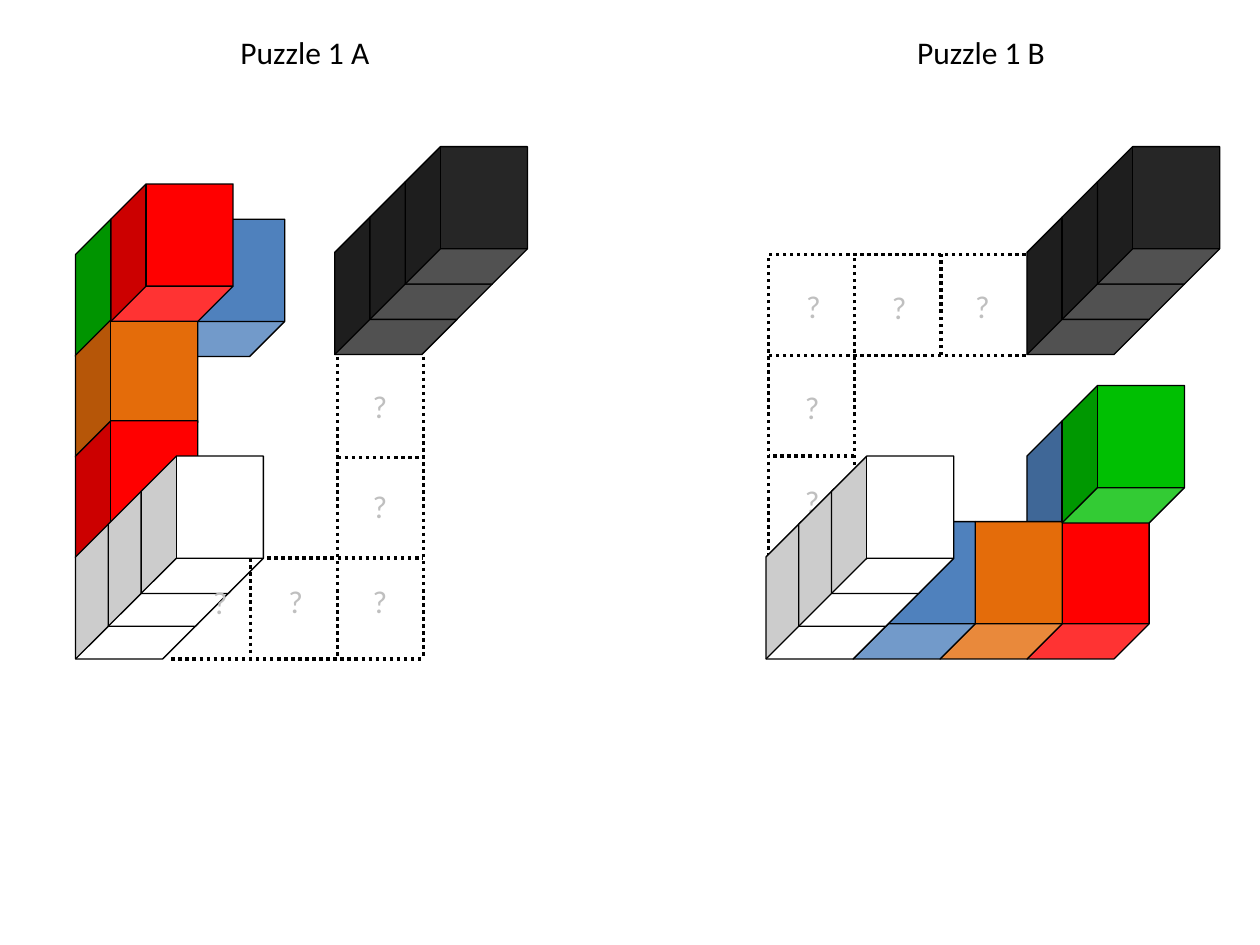
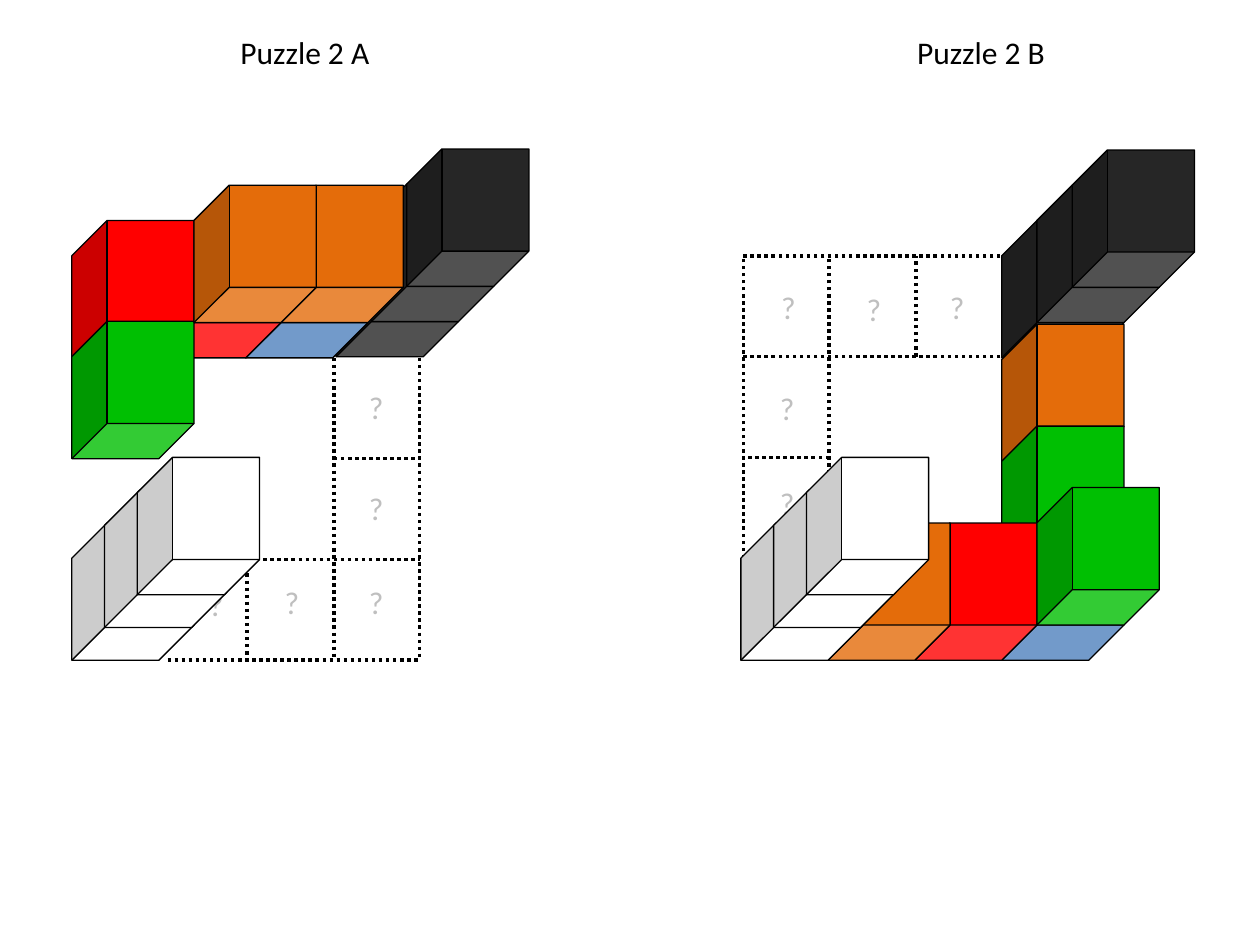
from lxml.etree import SubElement
from pptx import Presentation
from pptx.dml.color import RGBColor
from pptx.enum.dml import MSO_LINE
from pptx.enum.shapes import MSO_CONNECTOR, MSO_SHAPE
from pptx.enum.text import MSO_AUTO_SIZE
from pptx.oxml.ns import qn
from pptx.util import Inches, Pt

COLORS = {
    "green": "00BA00", "lime": "00BF02", "blue": "4F81BD",
    "orange": "E46C0A", "red": "FF0000", "white": "FFFFFF",
    "dark": "262626", "ink": "000000", "mark": "BFBFBF",
}
FONT = "Calibri"
COL, ROW, DEEP = 0.69, 0.8, 0.28
WIDE, HIGH = 0.97, 1.09
RODS = {"white": 0.26, "dark": 0.28}

GRIDS = {
    "A": {
        "at": (0.76, 1.09),
        "lines": [(0.63, 1.6, 0.63, 2.4), (1.32, 0, 1.32, 2.4),
                  (0.76, 1.6, 2, 1.6), (2, 0, 2, 2.4),
                  (0, 2.4, 2, 2.4), (1.32, 0.8, 2, 0.8)],
        "marks": [(0.23, 1.75), (1.5, 0.19), (1.5, 0.99),
                  (1.5, 1.74), (0.83, 1.74)],
    },
    "B": {
        "at": (0.02, 0.28),
        "lines": [(1.37, 0.8, 1.37, 0), (0.68, 2.4, 0.68, 0),
                  (2.04, 0.8, 0, 0.8), (0, 2.4, 0, 0),
                  (2.04, 0, 0, 0), (0.68, 1.6, 0, 1.6)],
        "marks": [(0.2, 0.21), (0.19, 1.01), (0.19, 1.76),
                  (1.54, 0.21), (0.88, 0.22)],
    },
}
TITLES = {"A": 1.81, "B": 7.18}

PUZZLES = [
    {
        "A": (0.6, 1.74, [
            ("green", 0, 0, 0), ("blue", 1, 0, 0), ("orange", 0, 1, 0),
            ("red", 0, 2, 0), ("white", 0, 3, 0), ("red", 0, 0, 1),
            "grid", ("dark", 2.98, -0.02, 0)]),
        "B": (6.08, 1.74, [
            "grid", ("blue", 3, 2, 0), ("red", 3, 3, 0),
            ("orange", 2, 3, 0), ("blue", 1, 3, 0), ("lime", 3, 2, 1),
            ("white", 0, 3, 0), ("dark", 3, -0.02, 0)]),
    },
    {
        "A": (0.57, 1.75, [
            "grid", ("dark", 3.04, -0.01, 0), ("blue", 2, 0, 0),
            ("red", 1, 0, 0), ("red", 0, 0, 0), ("lime", 0, 1, 0),
            ("white", 0, 3, 0), ("orange", 2, 0, 1), ("orange", 1, 0, 1)]),
        "B": (5.88, 1.75, [
            "grid", ("dark", 3, 0, 0), ("orange", 3, 1.03, 0),
            ("lime", 3, 2.04, 0), ("blue", 3, 3, 0), ("red", 2, 3, 0),
            ("orange", 1, 3, 0), ("white", 0, 3, 0), ("lime", 3, 3, 1)]),
    },
]


def tint(name):
    """Return the named colour."""
    return RGBColor.from_string(COLORS[name])


def label(shapes, text, x, y, width, color):
    """Write one short line of text."""
    box = shapes.add_textbox(Inches(x), Inches(y), Inches(width), Inches(0.4))
    frame = box.text_frame
    frame.word_wrap = False
    frame.auto_size = MSO_AUTO_SIZE.SHAPE_TO_FIT_TEXT
    run = frame.paragraphs[0].add_run()
    run.text = text
    run.font.name = FONT
    run.font.size = Pt(18)
    run.font.color.rgb = tint(color)


def dots(shapes, x1, y1, x2, y2):
    """Draw one dotted line."""
    line = shapes.add_connector(
        MSO_CONNECTOR.STRAIGHT, Inches(x1), Inches(y1), Inches(x2), Inches(y2))
    line.line.color.rgb = tint("ink")
    line.line.width = Pt(2)
    line.line.dash_style = MSO_LINE.ROUND_DOT
    SubElement(line._element.spPr, qn("a:effectLst"))


def cube(shapes, color, x, y):
    """Draw one cube seen from below."""
    block = shapes.add_shape(
        MSO_SHAPE.CUBE, Inches(x), Inches(y), Inches(WIDE), Inches(HIGH))
    block.rotation = 180
    block.adjustments[0] = 0.288
    block.shadow.inherit = False
    block.fill.solid()
    block.fill.fore_color.rgb = tint(color)
    block.line.color.rgb = tint("ink")
    block.line.width = Pt(0.75)


def rod(shapes, color, x, y):
    """Group three cubes that run into the depth."""
    group = shapes.add_group_shape().shapes
    for i in range(3):
        step = i * RODS[color]
        cube(group, color, x + step, y - step)


def grid(shapes, side, x, y):
    """Group the dotted cells and their question marks."""
    plan = GRIDS[side]
    x, y = x + plan["at"][0], y + plan["at"][1]
    group = shapes.add_group_shape().shapes
    for x1, y1, x2, y2 in plan["lines"]:
        dots(group, x + x1, y + y1, x + x2, y + y2)
    for dx, dy in plan["marks"]:
        label(group, "?", x + dx, y + dy, 0.32, "mark")


def puzzle(shapes, side, x, y, parts):
    """Place the parts of one puzzle, back to front."""
    for part in parts:
        if part == "grid":
            grid(shapes, side, x, y)
            continue
        color, col, row, deep = part
        draw = rod if color in RODS else cube
        draw(shapes, color, x + col * COL + deep * DEEP,
             y + row * ROW - deep * DEEP)


def page(deck, number, sides):
    """Build one slide with two puzzles."""
    shapes = deck.slides.add_slide(deck.slide_layouts[6]).shapes
    for side, (x, y, parts) in sides.items():
        puzzle(shapes, side, x, y, parts)
        label(shapes, f"Puzzle {number} {side}", TITLES[side], 0.21, 1.24, "ink")


def main():
    """Build and save the deck."""
    deck = Presentation()
    deck.slide_width = Inches(10)
    deck.slide_height = Inches(7.5)
    for number, sides in enumerate(PUZZLES, 1):
        page(deck, number, sides)
    deck.save("out.pptx")


main()
